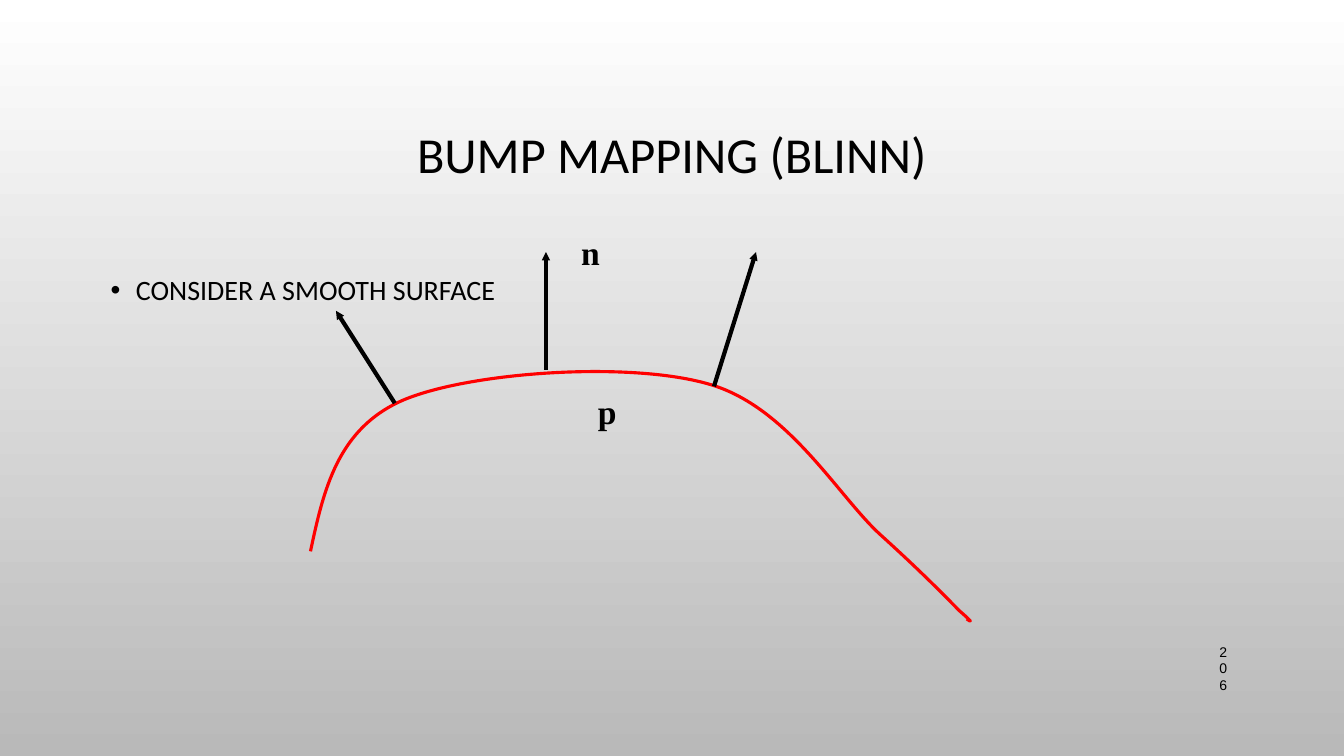
"""Build the bump mapping slide: a smooth curve with three surface normals."""
from lxml import etree
from pptx import Presentation
from pptx.dml.color import RGBColor
from pptx.enum.shapes import MSO_CONNECTOR
from pptx.enum.text import MSO_ANCHOR, PP_ALIGN
from pptx.oxml.ns import qn
from pptx.util import Pt

STRAIGHT = MSO_CONNECTOR.STRAIGHT
TOP, MIDDLE = MSO_ANCHOR.TOP, MSO_ANCHOR.MIDDLE
LEFT, CENTER = PP_ALIGN.LEFT, PP_ALIGN.CENTER

COLORS = {"top": "FFFFFF", "bottom": "B9B9B9", "ink": "000000", "curve": "FF0000"}
SLIDE_SIZE = (960, 540)

LABEL_FORMAT = {"size": 24, "font": "Times New Roman", "bold": True, "wrap": False}
TEXTS = [
    ("206", (828, 463, 60.5, 28.8),
     {"size": 10, "font": "Arial", "anchor": MIDDLE, "margin": 36}),
    ("BUMP MAPPING (BLINN)", (72, 49, 816, 126),
     {"size": 36, "anchor": MIDDLE, "align": CENTER, "spacing": 0.9}),
    ("CONSIDER A SMOOTH SURFACE", (72, 186.5, 816, 269.3),
     {"size": 20, "spacing": 1.2, "margin": 18, "bullet": "•"}),
    ("n", (408, 162, 28, 36), LABEL_FORMAT),
    ("p", (420, 276, 28, 36), LABEL_FORMAT),
]
CURVE_START = (221.8, 393.8)
CURVE_SEGMENTS = [
    [(231.1, 349.9), (241.2, 306), (288, 285.8)],
    [(335.5, 265.7), (449.3, 257.8), (506.2, 274.3)],
    [(563, 290.2), (599, 355), (629.3, 382.3)],
    [(658.8, 409), (675.4, 426.2), (685.4, 436.3)],
    [(696.2, 445.7), (693.4, 444.2), (690.5, 442.1)],
]
NORMALS = [
    ((282, 288), (240, 222)),
    ((510, 276), (540, 180)),
    ((390, 264), (390, 180)),
]


def color(name):
    return RGBColor.from_string(COLORS[name])


def points(values):
    return tuple(Pt(value) for value in values)


def add_text(slide, text, box, *, size, font="Calibri", bold=False, wrap=True,
             anchor=TOP, align=LEFT, spacing=1.0, margin=0, bullet=None):
    frame = slide.shapes.add_textbox(*points(box)).text_frame
    frame.word_wrap = wrap
    frame.vertical_anchor = anchor
    paragraph = frame.paragraphs[0]
    paragraph.alignment = align
    paragraph.line_spacing = spacing
    properties = paragraph._p.get_or_add_pPr()
    properties.set("marL", str(Pt(margin)))
    properties.set("indent", str(-Pt(margin) if bullet else 0))
    if bullet:
        etree.SubElement(properties, qn("a:buFont")).set("typeface", "Arial")
        etree.SubElement(properties, qn("a:buChar")).set("char", bullet)
    run = paragraph.add_run()
    run.text = text
    run.font.name = font
    run.font.size = Pt(size)
    run.font.bold = bold
    run.font.color.rgb = color("ink")


def add_curve(slide):
    builder = slide.shapes.build_freeform(*points(CURVE_START))
    for segment in CURVE_SEGMENTS:
        builder.add_line_segments([points(point) for point in segment], close=False)
    shape = builder.convert_to_shape()
    shape.shadow.inherit = False
    shape.fill.background()
    shape.line.color.rgb = color("curve")
    shape.line.width = Pt(2.25)
    path = next(shape._element.iter(qn("a:path")))
    steps = path.findall(qn("a:lnTo"))
    for start in range(0, len(steps), 3):
        bezier = etree.SubElement(path, qn("a:cubicBezTo"))
        for step in steps[start:start + 3]:
            bezier.append(step[0])
            path.remove(step)


def add_normal(slide, start, end):
    connector = slide.shapes.add_connector(STRAIGHT, *points(start + end))
    connector.line.color.rgb = color("ink")
    connector.line.width = Pt(3)
    arrowhead = etree.SubElement(connector.line._get_or_add_ln(), qn("a:tailEnd"))
    for name, value in (("type", "triangle"), ("w", "sm"), ("len", "sm")):
        arrowhead.set(name, value)
    etree.SubElement(connector._element.spPr, qn("a:effectLst"))


def main():
    presentation = Presentation()
    presentation.slide_width, presentation.slide_height = points(SLIDE_SIZE)
    slide = presentation.slides.add_slide(presentation.slide_layouts[6])
    fill = slide.background.fill
    fill.gradient()
    fill.gradient_angle = 270
    for stop, position, name in zip(fill.gradient_stops, (0, 1), ("top", "bottom")):
        stop.position = position
        stop.color.rgb = color(name)
    add_curve(slide)
    for start, end in NORMALS:
        add_normal(slide, start, end)
    for text, box, text_format in TEXTS:
        add_text(slide, text, box, **text_format)
    presentation.save("out.pptx")


if __name__ == "__main__":
    main()
